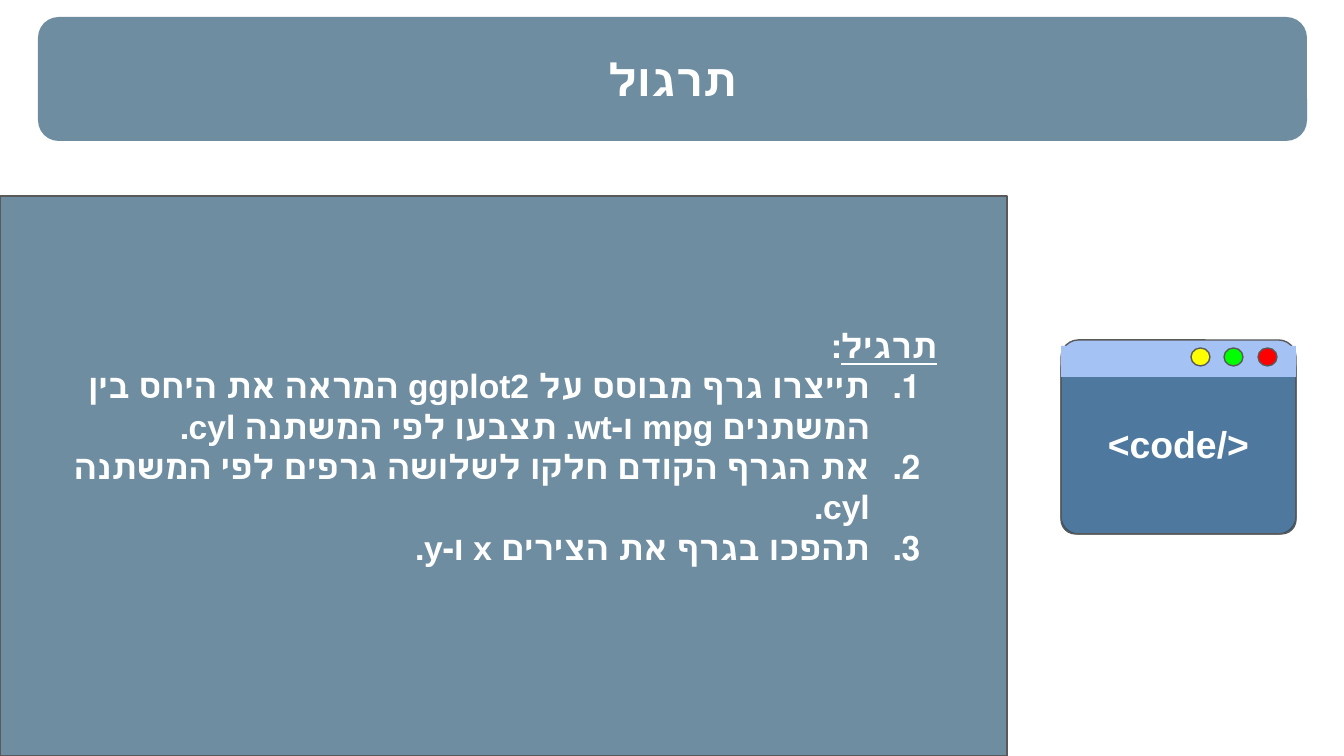
import lxml.etree
import pptx
import pptx.dml.color
import pptx.enum.shapes
import pptx.enum.text
import pptx.oxml.ns
import pptx.util

SHAPE = pptx.enum.shapes.MSO_SHAPE
ALIGN = pptx.enum.text.PP_ALIGN
PX = 914400 / 134.4
SLATE, SKY, GREY, WHITE = "215170", "A4C2F4", "595959", "FFFFFF"


def px(n):
    return pptx.util.Emu(round(n * PX))


def rgb(value):
    return pptx.dml.color.RGBColor.from_string(value)


def add_xml(parent, tag, **attrs):
    return lxml.etree.SubElement(parent, pptx.oxml.ns.qn(tag), attrs)


class Deck:
    """Slide style and the slide being drawn."""

    font = {"name": "Arial", "bold": True}
    frame = {"word_wrap": True, "vertical_anchor": pptx.enum.text.MSO_ANCHOR.MIDDLE}

    def __init__(self, w, h):
        self.prs = pptx.Presentation()
        self.prs.slide_width, self.prs.slide_height = px(w), px(h)
        self.s = self.prs.slides.add_slide(self.prs.slide_layouts[6])

    def group(self):
        return self.s.shapes.add_group_shape()

    def shape(self, kind, box, fill, line=GREY, alpha=None, adj=None, parent=None):
        sp = (parent or self.s).shapes.add_shape(kind, *map(px, box))
        sp.shadow.inherit = False
        sp.fill.solid()
        sp.fill.fore_color.rgb = rgb(fill)
        if alpha:
            clr = sp.fill._xPr.find(".//" + pptx.oxml.ns.qn("a:srgbClr"))
            add_xml(clr, "a:alpha", val=str(alpha * 1000))
        if line:
            sp.line.color.rgb = rgb(line)
            sp.line.width = pptx.util.Pt(0.75)
        else:
            sp.line.fill.background()
        if adj is not None:
            sp.adjustments[0] = adj
        return sp

    def textbox(self, box, bottom=0):
        sp = self.s.shapes.add_textbox(*map(px, box))
        return self.setup(sp.text_frame, 0, bottom)

    def setup(self, tf, inset, bottom):
        margins = dict.fromkeys(("margin_left", "margin_top", "margin_right"), px(inset))
        for key, value in {**self.frame, **margins, "margin_bottom": px(bottom)}.items():
            setattr(tf, key, value)
        return tf

    def paragraph(self, tf, runs, size, align, rtl=True, numbered=False):
        p = tf.paragraphs[0]
        if p.runs:
            p = tf.add_paragraph()
        p.alignment = align
        pPr = p._p.get_or_add_pPr()
        if rtl:
            pPr.set("rtl", "1")
        if numbered:
            pPr.set("marL", "457200")
            pPr.set("indent", "-342900")
            add_xml(add_xml(pPr, "a:buClr"), "a:srgbClr", val=WHITE)
            add_xml(pPr, "a:buFont", typeface="Arial")
            add_xml(pPr, "a:buAutoNum", type="arabicPeriod")
        for text, extra in runs:
            r = p.add_run()
            r.text = text
            for key, value in {**self.font, "size": pptx.util.Pt(size), **extra}.items():
                setattr(r.font, key, value)
            r.font.color.rgb = rgb(WHITE)


def main():
    deck = Deck(1344, 756)

    deck.shape(SHAPE.ROUNDED_RECTANGLE, (38, 17, 1269, 124), SLATE, None, 65, 0.167)
    title = deck.textbox((44, 39, 1256, 80))
    deck.paragraph(title, [("תרגול", {})], 24, ALIGN.CENTER)

    deck.shape(SHAPE.RECTANGLE, (0, 196, 1007, 560), SLATE, alpha=65)

    window = deck.group()
    deck.shape(SHAPE.ROUNDED_RECTANGLE, (1061, 340, 235, 194), SKY, adj=0.09, parent=window)
    body = deck.shape(SHAPE.ROUNDED_RECTANGLE, (1061, 354, 235, 180), SLATE,
                      alpha=65, adj=0.08, parent=window)
    code = deck.setup(body.text_frame, 13, 13)
    deck.paragraph(code, [("<code/>", {})], 20, ALIGN.CENTER, rtl=False)
    deck.shape(SHAPE.RECTANGLE, (1061, 346, 235, 31), SKY, None, parent=window)
    for i, color in enumerate(("FFFF00", "00FF00", "FF0000")):
        deck.shape(SHAPE.OVAL, (1191 + 67 * i // 2, 348, 19, 18), color, parent=window)

    exercise = deck.textbox((35, 288, 902, 437), bottom=121)
    heading = [("תרגיל", {"underline": True}), (":", {})]
    deck.paragraph(exercise, heading, 18, ALIGN.RIGHT)
    for task in (
        "תייצרו גרף מבוסס על ggplot2 המראה את היחס בין המשתנים mpg ו-wt. תצבעו לפי המשתנה cyl.",
        "את הגרף הקודם חלקו לשלושה גרפים לפי המשתנה cyl.",
        "תהפכו בגרף את הצירים x ו-y.",
    ):
        deck.paragraph(exercise, [(task, {})], 18, ALIGN.RIGHT, numbered=True)

    deck.prs.save("out.pptx")


if __name__ == "__main__":
    main()
